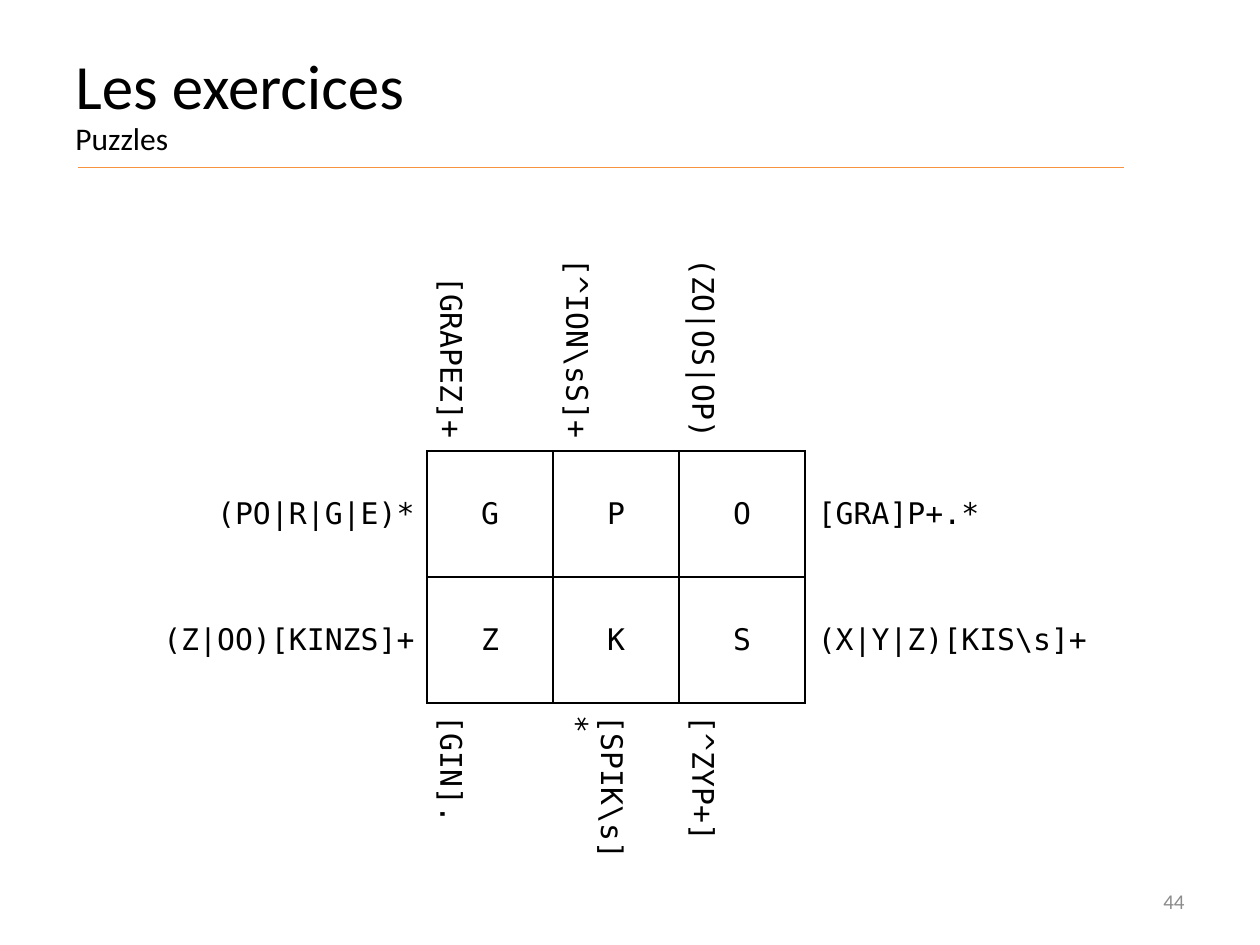
"""Build a regex crossword slide with its clues and solution."""
from dataclasses import dataclass

from lxml.etree import SubElement
from pptx import Presentation
from pptx.dml.color import RGBColor
from pptx.enum.shapes import MSO_CONNECTOR
from pptx.enum.text import MSO_ANCHOR, PP_ALIGN
from pptx.oxml.ns import qn
from pptx.util import Inches, Pt

COLORS = {"text": "000000", "rule": "F69240", "number": "8C8C8C", "border": "000000"}
BODY_FONT = "Calibri"
CODE_FONT = "DejaVu Sans Mono"
WIDTH, HEIGHT = 10, 7.5
COLUMNS = (2.5, 1, 1, 1, 2.5)
ROWS = (2, 1, 1, 1.23)
CLUES = (
    ("", "[GRAPEZ]+", r"[^ION\sS]+", "(ZO|OS|OP)", ""),
    ("(PO|R|G|E)*", "G", "P", "O", "[GRA]P+.*"),
    ("(Z|OO)[KINZS]+", "Z", "K", "S", r"(X|Y|Z)[KIS\s]+"),
    ("", "[GIN].", r"[SPIK\s]*", "[^ZYP+]", ""),
)
EDGES = {"lnL": (0, -1), "lnR": (0, 1), "lnT": (-1, 0), "lnB": (1, 0)}


@dataclass(frozen=True)
class Label:
    """Text in a box, with the size of each of its lines."""
    text: str
    box: tuple[float, float, float, float]
    sizes: tuple[int, ...]
    color: str
    align: PP_ALIGN
    anchor: MSO_ANCHOR
    top_inset: float = 0.05
    spacing: float = 1.0


LABELS = (
    Label("44", (7.17, 6.95, 2.33, 0.4), (12,), "number", PP_ALIGN.RIGHT, MSO_ANCHOR.MIDDLE),
    Label("Les exercices\vPuzzles", (0.5, 0.3, 9, 1.25), (36, 18), "text",
          PP_ALIGN.LEFT, MSO_ANCHOR.TOP, 0.14, 0.9),
)


def style_run(r, font: str, size: float, color: str) -> None:
    """Set the font, size and colour of a run."""
    r.font.name, r.font.size = font, Pt(size)
    r.font.color.rgb = RGBColor.from_string(COLORS[color])


def add_label(s, label: Label) -> None:
    """Add a text box to the slide."""
    tf = s.shapes.add_textbox(*map(Inches, label.box)).text_frame
    tf.word_wrap, tf.vertical_anchor = True, label.anchor
    tf.margin_top = Inches(label.top_inset)
    p = tf.paragraphs[0]
    p.text, p.alignment, p.line_spacing = label.text, label.align, label.spacing
    for r, size in zip(p.runs, label.sizes):
        style_run(r, BODY_FONT, size, label.color)


def add_rule(s, x1: float, x2: float, y: float) -> None:
    """Add the line under the title."""
    sp = s.shapes.add_connector(MSO_CONNECTOR.STRAIGHT, *map(Inches, (x1, y, x2, y)))
    sp.line.color.rgb = RGBColor.from_string(COLORS["rule"])
    sp.line.width = Pt(0.75)
    SubElement(sp._element.spPr, qn("a:effectLst"))


def is_answer(row: int, col: int) -> bool:
    """Tell whether a cell belongs to the solution grid."""
    return 0 < row < len(ROWS) - 1 and 0 < col < len(COLUMNS) - 1


def set_borders(cell, row: int, col: int) -> None:
    """Draw the edges that touch the solution grid and hide the others."""
    tc_pr = cell._tc.get_or_add_tcPr()
    for tag, (dr, dc) in EDGES.items():
        ln = SubElement(tc_pr, qn(f"a:{tag}"), w=str(Pt(1)))
        if is_answer(row, col) or is_answer(row + dr, col + dc):
            fill = SubElement(ln, qn("a:solidFill"))
            SubElement(fill, qn("a:srgbClr"), val=COLORS["border"])
        else:
            SubElement(ln, qn("a:noFill"))


def clue_align(row: int, col: int) -> PP_ALIGN:
    """Push clues towards the solution grid and centre its letters."""
    if is_answer(row, col):
        return PP_ALIGN.CENTER
    return PP_ALIGN.RIGHT if row == 0 or col == 0 else PP_ALIGN.LEFT


def fill_cell(cell, text: str, row: int, col: int) -> None:
    """Format one cell and write its clue or letter."""
    set_borders(cell, row, col)
    cell.fill.background()
    if not text:
        return
    cell.vertical_anchor = MSO_ANCHOR.MIDDLE
    if row in (0, len(ROWS) - 1):
        cell._tc.get_or_add_tcPr().set("vert", "vert")
    p = cell.text_frame.paragraphs[0]
    p.text, p.alignment = text, clue_align(row, col)
    style_run(p.runs[0], CODE_FONT, 17, "text")


def add_puzzle(s, left: float, top: float) -> None:
    """Add the crossword table."""
    size = map(Inches, (left, top, sum(COLUMNS), sum(ROWS)))
    table = s.shapes.add_table(len(ROWS), len(COLUMNS), *size).table
    table.first_row = table.horz_banding = False
    for column, width in zip(table.columns, COLUMNS):
        column.width = Inches(width)
    for row, height in zip(table.rows, ROWS):
        row.height = Inches(height)
    for i, clues in enumerate(CLUES):
        for j, text in enumerate(clues):
            fill_cell(table.cell(i, j), text, i, j)


def main() -> None:
    """Build and save the slide."""
    prs = Presentation()
    prs.slide_width, prs.slide_height = Inches(WIDTH), Inches(HEIGHT)
    s = prs.slides.add_slide(prs.slide_layouts[6])
    for label in LABELS:
        add_label(s, label)
    add_rule(s, 0.62, 8.92, 1.33)
    add_puzzle(s, 0.89, 1.58)
    prs.save("out.pptx")


if __name__ == "__main__":
    main()
